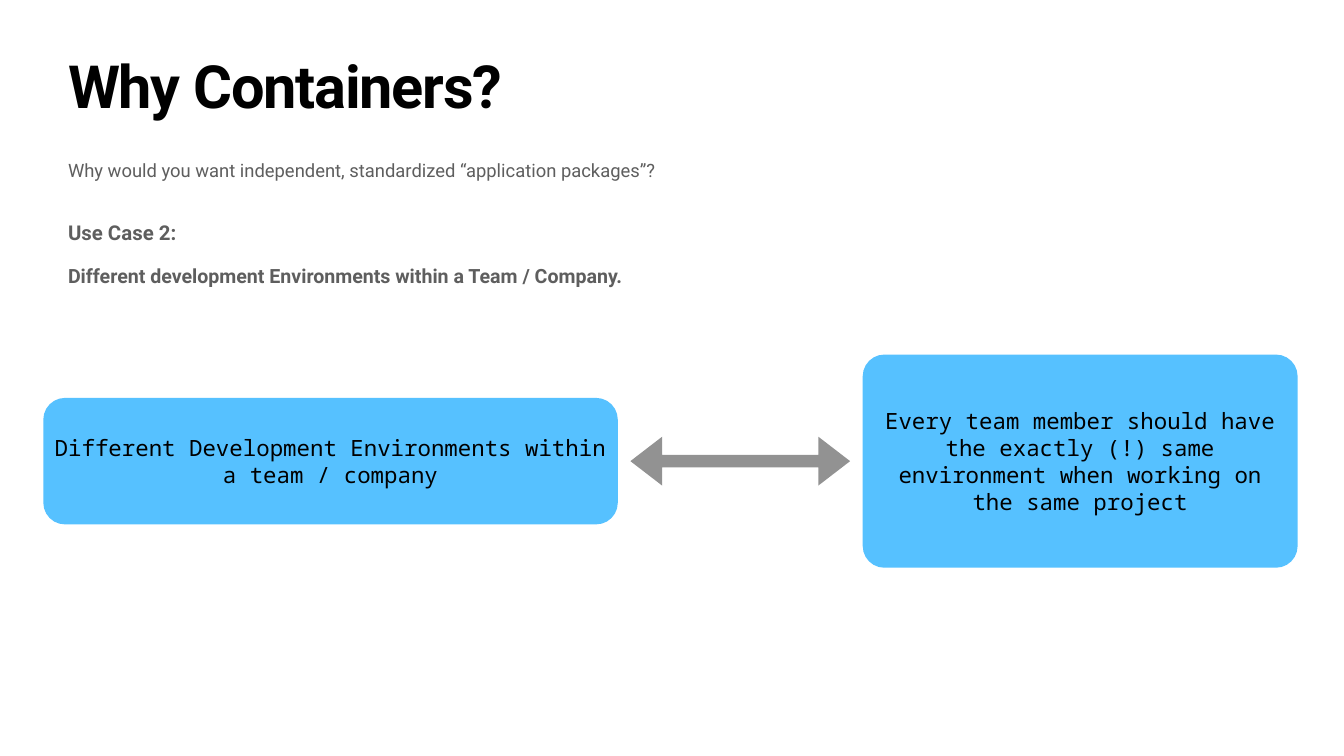
from pptx import Presentation
from pptx.dml.color import RGBColor
from pptx.enum.shapes import MSO_SHAPE
from pptx.enum.text import MSO_ANCHOR, MSO_AUTO_SIZE, PP_ALIGN
from pptx.util import Inches, Pt

COLORS = {"title": "000000", "body": "5E5E5E", "box": "56C1FF", "arrow": "929292"}
SANS, MONO = "Roboto", "Noto Sans Mono"
WIDTH, HEIGHT = 26.67, 15
MARGIN, TEXT_WIDTH = 1.29, 24.03
MIDDLE = 0.61 * HEIGHT
INTRO = [
    ("Why would you want independent, standardized “application packages”?", 26.3, False, 0),
    ("Use Case 2:", 29.1, True, 55),
    ("Different development Environments within a Team / Company.", 28, True, 27.5),
]


def set_frame(tf, anchor):
    """Give a text frame its narrow insets, wrapping and anchor."""
    tf.margin_left = tf.margin_right = tf.margin_top = tf.margin_bottom = Inches(0.06)
    tf.word_wrap = True
    tf.auto_size = MSO_AUTO_SIZE.NONE
    tf.vertical_anchor = anchor


def set_font(p, name, size, color, bold=False):
    """Format all the text of a paragraph."""
    p.font.name = name
    p.font.size = Pt(size)
    p.font.bold = bold
    p.font.color.rgb = RGBColor.from_string(COLORS[color])


def set_title(s, text):
    """Place and fill the title placeholder."""
    sp = s.shapes.title
    sp.left, sp.top = Inches(MARGIN), Inches(1.18)
    sp.width, sp.height = Inches(TEXT_WIDTH), Inches(1.57)
    set_frame(sp.text_frame, MSO_ANCHOR.TOP)
    p = sp.text_frame.paragraphs[0]
    p.alignment = PP_ALIGN.LEFT
    p.line_spacing = 0.8
    r = p.add_run()
    r.text = text
    r._r.get_or_add_rPr().set("spc", "-170")
    set_font(p, SANS, 85, "title", True)


def add_intro(s, lines):
    """Add the introductory paragraphs below the title."""
    sp = s.shapes.add_textbox(Inches(MARGIN), Inches(3.1), Inches(TEXT_WIDTH), Inches(3.53))
    tf = sp.text_frame
    set_frame(tf, MSO_ANCHOR.TOP)
    for i, (text, size, bold, gap) in enumerate(lines):
        p = tf.add_paragraph() if i else tf.paragraphs[0]
        p.text = text
        p.space_before = Pt(gap)
        set_font(p, SANS, size, "body", bold)


def add_centered(s, kind, left, width, height, color, adjustments):
    """Add a plain filled shape centred on the row of the diagram."""
    sp = s.shapes.add_shape(kind, Inches(left), Inches(MIDDLE - height / 2),
                            Inches(width), Inches(height))
    for i, value in enumerate(adjustments):
        sp.adjustments[i] = value
    sp.shadow.inherit = False
    sp.fill.solid()
    sp.fill.fore_color.rgb = RGBColor.from_string(COLORS[color])
    sp.line.fill.background()
    return sp


def add_box(s, left, width, height, text):
    """Add a rounded box with centred text."""
    radius = 0.43 / height
    sp = add_centered(s, MSO_SHAPE.ROUNDED_RECTANGLE, left, width, height, "box", [radius])
    set_frame(sp.text_frame, MSO_ANCHOR.MIDDLE)
    p = sp.text_frame.paragraphs[0]
    p.text = text
    p.alignment = PP_ALIGN.CENTER
    set_font(p, MONO, 32, "title")


def main():
    """Build the slide and save it."""
    prs = Presentation()
    prs.slide_width, prs.slide_height = Inches(WIDTH), Inches(HEIGHT)
    s = prs.slides.add_slide(prs.slide_layouts[5])
    set_title(s, "Why Containers?")
    add_intro(s, INTRO)
    add_box(s, 0.86, 11.4, 2.51, "Different Development Environments within a team / company")
    add_box(s, 17.12, 8.63, 4.23, "Every team member should have the exactly (!) same "
                                  "environment when working on the same project")
    add_centered(s, MSO_SHAPE.LEFT_RIGHT_ARROW, 12.51, 4.36, 0.97, "arrow", [0.26, 0.65])
    prs.save("out.pptx")


if __name__ == "__main__":
    main()
